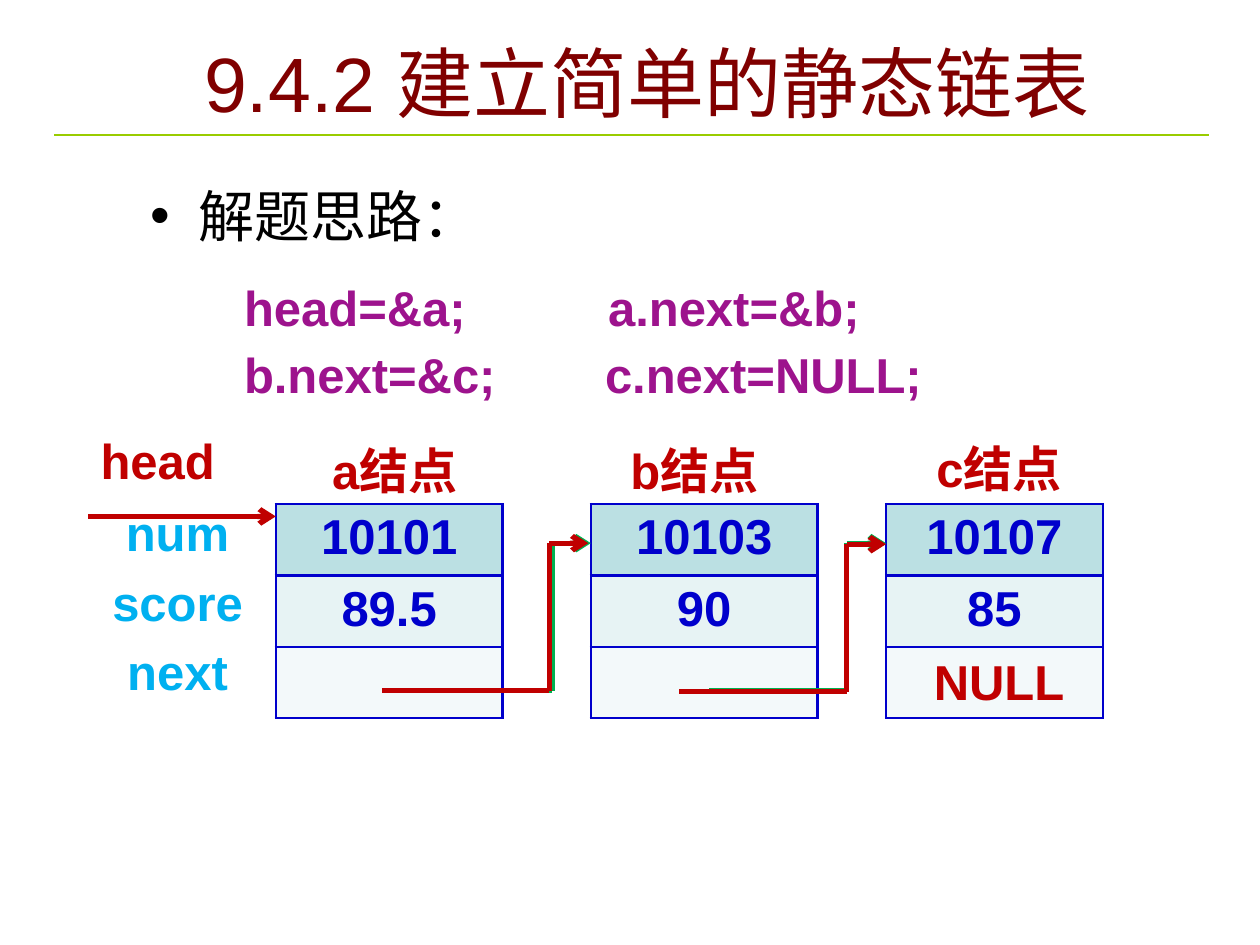
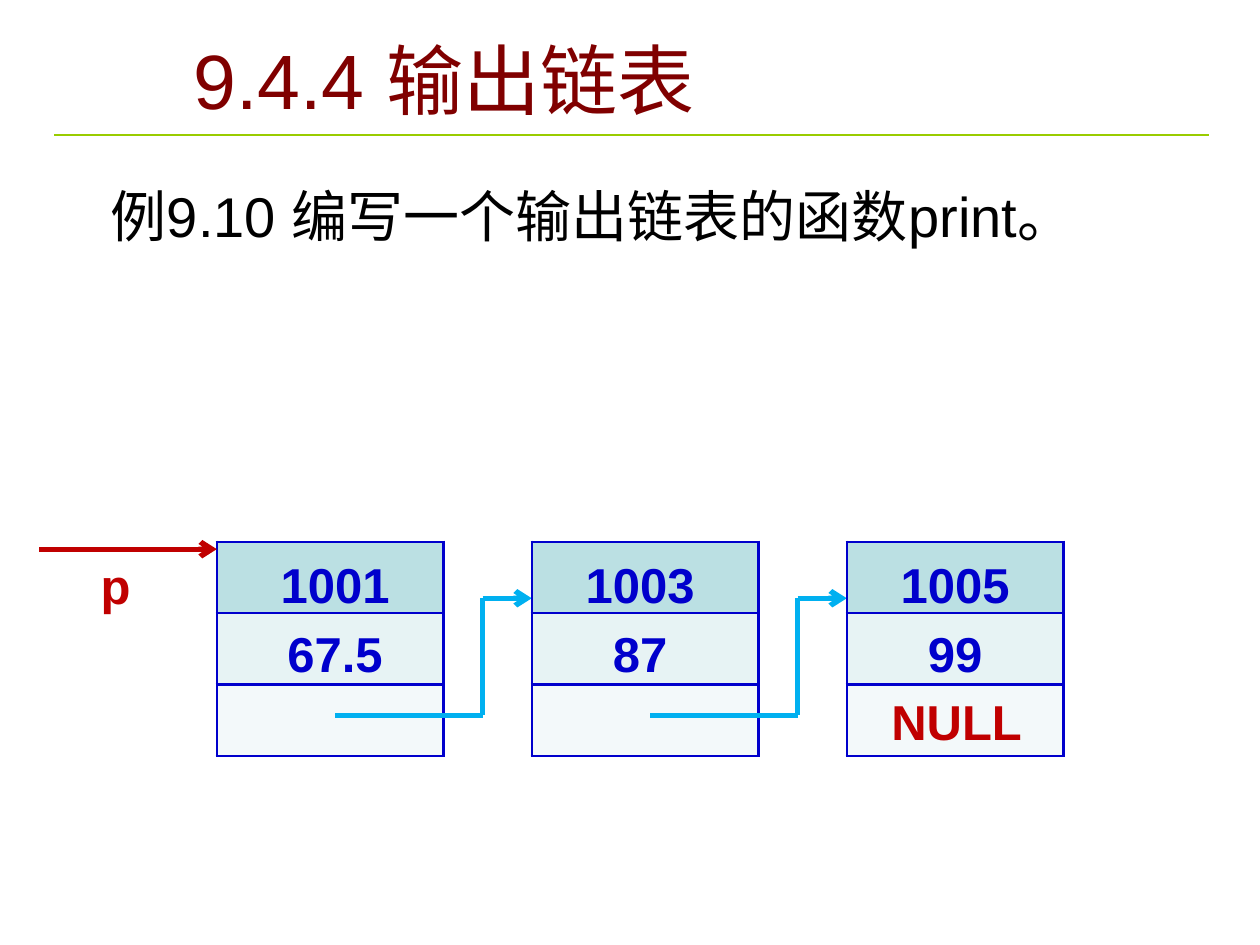
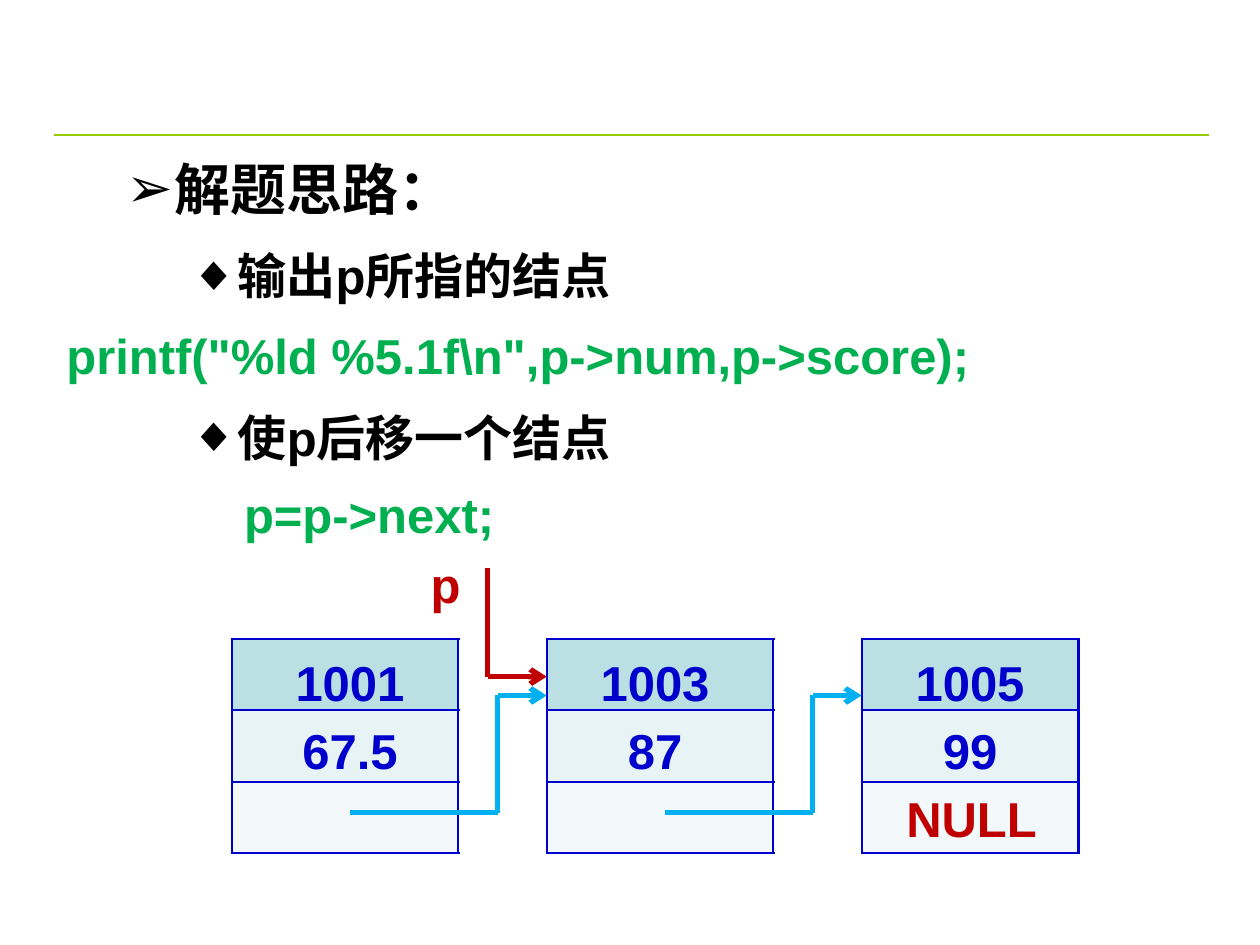
from lxml.etree import SubElement
from pptx import Presentation
from pptx.dml.color import RGBColor
from pptx.enum.shapes import MSO_CONNECTOR
from pptx.enum.text import MSO_ANCHOR, MSO_AUTO_SIZE, PP_ALIGN
from pptx.oxml.ns import qn
from pptx.util import Cm, Pt

COLORS = {
    "title": "800000", "rule": "99CC00", "text": "000000", "value": "0000CC",
    "pointer": "C00000", "field": "00B0F0", "statement": "9D138D", "code": "00B050",
    "node_top": "BBE0E3", "node_middle": "E7F3F4", "node_bottom": "F3F9FA",
}
ROW_FILLS = ("node_top", "node_middle", "node_bottom")
ROW_HEIGHT = 1.44
NODE_WIDTH, LAST_WIDTH, NODE_PITCH = 4.57, 4.37, 6.35
LABEL_HEIGHT = 1.45


class LectureDeck:
    def __init__(self):
        self.deck = Presentation()
        self.deck.slide_width, self.deck.slide_height = Cm(25.4), Cm(19.05)
        self.page = None

    def add_page(self):
        self.page = self.deck.slides.add_slide(self.deck.slide_layouts[1])
        self.line((1.09, 2.72), (24.38, 2.72), "rule", width=1.5)

    def add_span(self, para, text, color, size=28, bold=True, **layout):
        for name, value in layout.items():
            setattr(para, name, value)
        span = para.add_run()
        span.text = text
        for name, value in {"name": "Arial", "size": Pt(size), "bold": bold}.items():
            setattr(span.font, name, value)
        span.font.color.rgb = RGBColor.from_string(COLORS[color])

    def place(self, box, left, top, width, height):
        for name, value in {"left": left, "top": top, "width": width, "height": height}.items():
            setattr(box, name, Cm(value))

    def title(self, text, left, top, width):
        box = self.page.shapes.title
        self.place(box, left, top, width, 2.13)
        frame = box.text_frame
        frame.auto_size = MSO_AUTO_SIZE.NONE
        frame.vertical_anchor = MSO_ANCHOR.MIDDLE
        self.add_span(frame.paragraphs[0], text, "title", 44, False, alignment=PP_ALIGN.CENTER)

    def remove_title(self):
        element = self.page.shapes.title.element
        element.getparent().remove(element)

    def bullet(self, para, mark, margin, hang):
        properties = para._p.get_or_add_pPr()
        properties.set("marL", str(Cm(margin)))
        properties.set("indent", str(-Cm(hang)))
        if mark:
            color = SubElement(properties, qn("a:buClr"))
            SubElement(color, qn("a:srgbClr"), val=COLORS["text"])
            SubElement(properties, qn("a:buChar"), char=mark)
        else:
            SubElement(properties, qn("a:buNone"))

    def body(self, items, left, top, width, height, bold=False, spacing=1.0):
        box = self.page.placeholders[1]
        self.place(box, left, top, width, height)
        frame = box.text_frame
        frame.auto_size = MSO_AUTO_SIZE.NONE
        for index, (text, mark, level, before) in enumerate(items):
            para = frame.add_paragraph() if index else frame.paragraphs[0]
            margin, hang, size = ((0.97, 0.97, 32), (2.06, 0.79, 28))[level]
            self.bullet(para, mark, margin, hang)
            self.add_span(para, text, "text", size, bold, level=level,
                          line_spacing=spacing, space_before=Pt(before))

    def label(self, lines, left, top, width, color, height=LABEL_HEIGHT,
              alignment=PP_ALIGN.CENTER, spacing=None):
        box = self.page.shapes.add_textbox(Cm(left), Cm(top), Cm(width), Cm(height))
        frame = box.text_frame
        frame.word_wrap = True
        frame.auto_size = MSO_AUTO_SIZE.SHAPE_TO_FIT_TEXT
        for index, text in enumerate(lines):
            para = frame.add_paragraph() if index else frame.paragraphs[0]
            self.add_span(para, text, color, alignment=alignment, line_spacing=spacing)

    def line(self, start, end, color, width=3, arrow=False):
        points = [Cm(value) for value in (*start, *end)]
        connector = self.page.shapes.add_connector(MSO_CONNECTOR.STRAIGHT, *points)
        connector.line.color.rgb = RGBColor.from_string(COLORS[color])
        connector.line.width = Pt(width)
        if arrow:
            SubElement(connector.line._get_or_add_ln(), qn("a:tailEnd"), type="arrow")
        SubElement(connector._element.spPr, qn("a:effectLst"))

    def link(self, start, corner, end, low, high, color):
        self.line((start, low), (corner, low), color)
        self.line((corner, low), (corner, high), color)
        self.line((corner, high), (end, high), color, arrow=True)

    def border(self, cell):
        properties = cell._tc.get_or_add_tcPr()
        for index, side in enumerate(("a:lnL", "a:lnR", "a:lnT", "a:lnB")):
            edge = properties.makeelement(qn(side), {"w": str(Pt(1.47))})
            fill = SubElement(edge, qn("a:solidFill"))
            SubElement(fill, qn("a:srgbClr"), val=COLORS["value"])
            properties.insert(index, edge)

    def node(self, left, top, width, values=()):
        table = self.page.shapes.add_table(
            3, 1, Cm(left), Cm(top), Cm(width), Cm(3 * ROW_HEIGHT)).table
        for index, fill in enumerate(ROW_FILLS):
            table.rows[index].height = Cm(ROW_HEIGHT)
            cell = table.cell(index, 0)
            cell.fill.solid()
            cell.fill.fore_color.rgb = RGBColor.from_string(COLORS[fill])
            self.border(cell)
            if index < len(values):
                self.add_span(cell.text_frame.paragraphs[0], values[index], "value",
                              alignment=PP_ALIGN.CENTER)

    def chain(self, left, top):
        records = (("1001", "67.5"), ("1003", "87"), ("1005", "99"))
        last = len(records) - 1
        for index, record in enumerate(records):
            x = left + index * NODE_PITCH
            self.node(x, top, LAST_WIDTH if index == last else NODE_WIDTH)
            shift = 0 if index else 0.2
            self.label(record, x + shift, top - 0.05, LAST_WIDTH, "value", 3.02, spacing=Pt(39))
            if index < last:
                self.link(x + 2.39, x + 5.36, x + NODE_PITCH, top + 3.5, top + 1.14, "field")
        self.label(["NULL"], left + last * NODE_PITCH + 0.13, top + 2.9, 4.17, "pointer")


def static_list_page(lecture):
    lecture.add_page()
    lecture.title("9.4.2 建立简单的静态链表", 3.4, 0.58, 19.3)
    lecture.body([("解题思路：", "•", 0, 0)], 2.77, 3.53, 20.45, 3.12)
    for left, width, values in (
        (5.56, NODE_WIDTH, ("10101", "89.5")),
        (11.91, NODE_WIDTH, ("10103", "90")),
        (17.86, LAST_WIDTH, ("10107", "85")),
    ):
        lecture.node(left, 10.16, width, values)
    for text, left, top, width in (
        ("a结点", 5.77, 8.76, 4.37), ("b结点", 11.91, 8.76, 4.17),
        ("c结点", 18.26, 8.71, 3.76), ("NULL", 18.26, 13, 3.76),
    ):
        lecture.label([text], left, top, width, "pointer")
    for index, field in enumerate(("num", "score", "next")):
        lecture.label([field], 1.6, 10.01 + index * 1.4, 3.96, "field")
    for text, left, top, width in (
        ("head=&a;", 3.28, 5.46, 7.75), ("a.next=&b;", 10.92, 5.46, 7.75),
        ("b.next=&c;", 3.58, 6.83, 7.75), ("c.next=NULL;", 10.92, 6.83, 8.94),
    ):
        lecture.label([text], left, top, width, "statement")
    lecture.label(["head"], 1.78, 8.56, 3.38, "pointer", alignment=PP_ALIGN.LEFT)
    lecture.line((1.78, 10.41), (5.56, 10.41), "pointer", arrow=True)
    for route in (
        (7.75, 11.13, 11.91, 13.92, 10.95, "code"),
        (14.3, 17.07, 17.86, 13.92, 10.95, "code"),
        (7.7, 11.07, 11.86, 13.92, 10.95, "pointer"),
        (13.69, 17.07, 17.86, 13.94, 10.97, "pointer"),
    ):
        lecture.link(*route)


def print_list_page(lecture):
    lecture.add_page()
    lecture.title("9.4.4 输出链表", 3.4, 0.53, 11.1)
    lecture.body([("例9.10 编写一个输出链表的函数print。", None, 0, 0)], 1.98, 3.53, 22.02, 7.54)
    lecture.chain(4.37, 10.92)
    lecture.line((0.79, 11.07), (4.37, 11.07), "pointer", arrow=True)
    lecture.label(["p"], 1.78, 11.07, 1.57, "pointer", alignment=PP_ALIGN.LEFT)


def print_steps_page(lecture):
    lecture.add_page()
    lecture.remove_title()
    lecture.body([
        ("解题思路：", "➢", 0, 0),
        ("输出p所指的结点", "◆", 1, 7),
        ("使p后移一个结点", "◆", 1, 52),
    ], 2.29, 2.72, 22.02, 7.34, bold=True, spacing=1.2)
    lecture.chain(4.67, 12.88)
    for text, left, top, width, color in (
        ("printf(\"%ld %5.1f\\n\",p->num,p->score);", 1.09, 6.43, 24, "code"),
        ("p=p->next;", 4.67, 9.65, 10.31, "code"),
        ("p", 8.43, 11.05, 1.6, "pointer"),
    ):
        lecture.label([text], left, top, width, color, alignment=PP_ALIGN.LEFT)
    lecture.line((9.83, 11.46), (9.83, 13.64), "pointer")
    lecture.line((9.83, 13.64), (11.02, 13.64), "pointer", arrow=True)


def main():
    lecture = LectureDeck()
    for build_page in (static_list_page, print_list_page, print_steps_page):
        build_page(lecture)
    lecture.deck.save("out.pptx")


if __name__ == "__main__":
    main()
